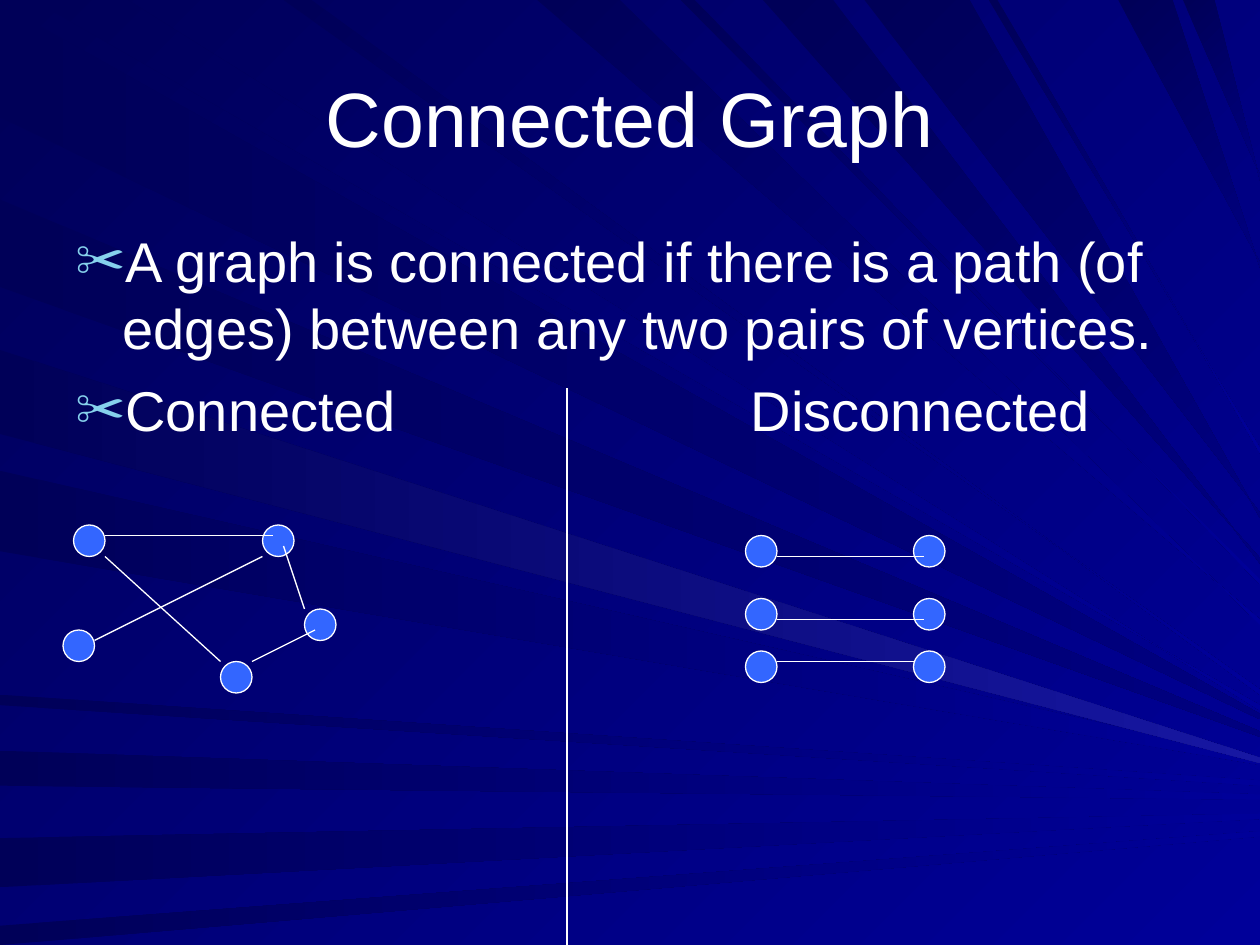
from dataclasses import dataclass

from lxml.etree import SubElement
from pptx import Presentation
from pptx.dml.color import RGBColor
from pptx.enum.shapes import MSO_CONNECTOR, MSO_SHAPE
from pptx.enum.text import MSO_ANCHOR, PP_ALIGN
from pptx.oxml.ns import qn
from pptx.util import Pt


@dataclass(frozen=True)
class Theme:
    font: str = "Arial"
    title_size: int = 44
    body_size: int = 32
    bullet: str = "86D1EC"
    node: str = "3366FF"
    white: str = "FFFFFF"
    night: str = "000058"
    dim: str = "000080"
    bright: str = "000099"
    glow: str = "1717A2"
    line_width: float = 0.75


theme = Theme()
WIDTH, HEIGHT = 720, 540
TIP = 3
NODE = 18


def paint_gradient(fill, end, angle):
    fill.gradient()
    fill.gradient_angle = 360 - angle
    for stop, color in zip(fill.gradient_stops, (theme.night, end)):
        stop.color.rgb = RGBColor.from_string(color)


def style_text(paragraph, size):
    paragraph.font.size = Pt(size)
    paragraph.font.name = theme.font
    paragraph.font.color.rgb = RGBColor.from_string(theme.white)


deck = Presentation()
deck.slide_width, deck.slide_height = Pt(WIDTH), Pt(HEIGHT)
slide = deck.slides.add_slide(deck.slide_layouts[6])
paint_gradient(slide.background.fill, theme.bright, 45)

left_rays = [
    (2, 67, 408, theme.dim), (114, 164, 418, theme.dim),
    (269, 315, 434, theme.bright), (200, 248, 433, theme.glow),
    (397, 403, 446, theme.bright), (429, 449, 454, theme.bright),
    (479, 507, 465, theme.bright), (529, 540, 475, theme.bright),
]
top_rays = [
    (19, 73, 403, theme.bright), (162, 178, 394, theme.bright),
    (307, 354, 354, theme.bright), (389, 397, 331, theme.bright),
    (436, 476, 319, theme.dim), (494, 554, 293, theme.dim),
    (565, 570, 256, theme.bright), (639, 670, 150, theme.dim),
    (676, 694, 100, theme.dim),
]
ray_fans = [
    (left_rays, 0, lambda distance: (0, distance)),
    (top_rays, 45, lambda distance: (distance, 0)),
]
for rays, angle, edge_point in ray_fans:
    for near, far, tip, color in rays:
        outline = [edge_point(near), edge_point(far), (WIDTH, tip + TIP), (WIDTH, tip)]
        corners = [(Pt(x), Pt(y)) for x, y in outline]
        builder = slide.shapes.build_freeform(*corners[0])
        builder.add_line_segments(corners[1:], close=True)
        ray = builder.convert_to_shape()
        ray.shadow.inherit = False
        ray.line.fill.background()
        paint_gradient(ray.fill, color, angle)

title = slide.shapes.add_textbox(Pt(36), Pt(21.6), Pt(648), Pt(90)).text_frame
title.word_wrap = True
title.vertical_anchor = MSO_ANCHOR.MIDDLE
title.text = "Connected Graph"
title.paragraphs[0].alignment = PP_ALIGN.CENTER
style_text(title.paragraphs[0], theme.title_size)

body = slide.shapes.add_textbox(Pt(36), Pt(126), Pt(648), Pt(356.4)).text_frame
body.word_wrap = True
body.text = (
    "A graph is connected if there is a path (of edges) between any two pairs of vertices.\n"
    "Connected\tDisconnected"
)
for paragraph in body.paragraphs:
    properties = paragraph._p.get_or_add_pPr()
    properties.set("marL", str(Pt(27)))
    properties.set("indent", str(-Pt(27)))
    bullet_color = SubElement(properties, qn("a:buClr"))
    SubElement(bullet_color, qn("a:srgbClr"), val=theme.bullet)
    SubElement(properties, qn("a:buSzPct"), val="90000")
    SubElement(properties, qn("a:buFont"), typeface=theme.font)
    SubElement(properties, qn("a:buChar"), char="✂")
    tab_stops = SubElement(properties, qn("a:tabLst"))
    SubElement(tab_stops, qn("a:tab"), pos=str(Pt(386)), algn="l")
    style_text(paragraph, theme.body_size)
body.paragraphs[1].space_before = Pt(8)

connected_nodes = [(42, 300), (36, 360), (150, 300), (126, 378), (174, 348)]
disconnected_nodes = [(x, y) for x in (426, 522) for y in (306, 342, 372)]
for x, y in connected_nodes + disconnected_nodes:
    node = slide.shapes.add_shape(MSO_SHAPE.OVAL, Pt(x), Pt(y), Pt(NODE), Pt(NODE))
    node.shadow.inherit = False
    node.fill.solid()
    node.fill.fore_color.rgb = RGBColor.from_string(theme.node)
    node.line.color.rgb = RGBColor.from_string(theme.white)
    node.line.width = Pt(theme.line_width)

connected_edges = [
    (54, 366, 150, 318), (162, 312, 174, 348), (180, 360, 144, 378),
    (126, 378, 60, 318), (60, 306, 156, 306),
]
disconnected_edges = [(444, y, end, y) for y, end in ((318, 528), (354, 528), (378, 522))]
divider = (324, 222, 324, HEIGHT)
for ends in connected_edges + [divider] + disconnected_edges:
    edge = slide.shapes.add_connector(MSO_CONNECTOR.STRAIGHT, *map(Pt, ends))
    edge.line.color.rgb = RGBColor.from_string(theme.white)
    edge.line.width = Pt(theme.line_width)
    SubElement(edge._element.spPr, qn("a:effectLst"))

deck.save("out.pptx")
